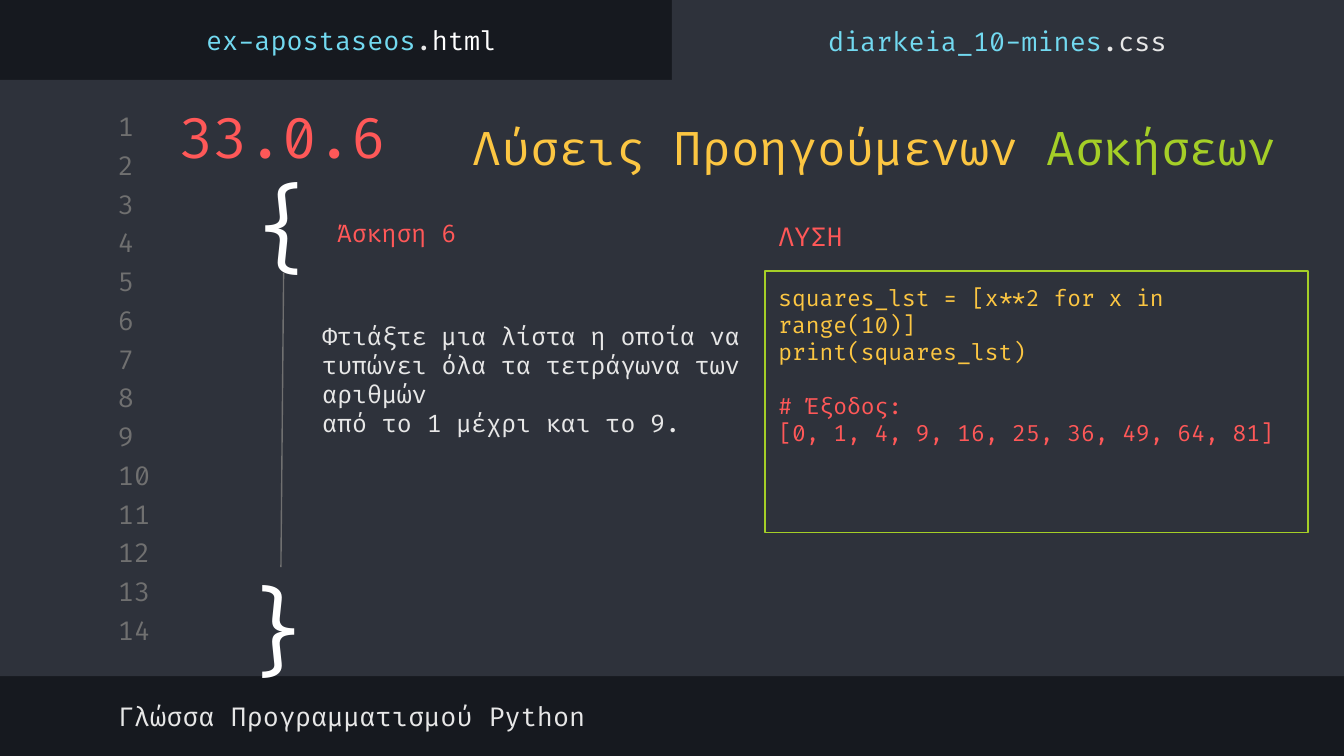
from lxml import etree
from pptx import Presentation
from pptx.dml.color import RGBColor
from pptx.enum.shapes import MSO_CONNECTOR, MSO_SHAPE
from pptx.enum.text import MSO_ANCHOR, MSO_AUTO_SIZE, PP_ALIGN
from pptx.oxml.ns import qn
from pptx.util import Cm, Pt

LEFT, CENTER = PP_ALIGN.LEFT, PP_ALIGN.CENTER
TOP, MIDDLE = MSO_ANCHOR.TOP, MSO_ANCHOR.MIDDLE
NO_AUTOFIT = MSO_AUTO_SIZE.NONE
RECTANGLE = MSO_SHAPE.RECTANGLE
STRAIGHT = MSO_CONNECTOR.STRAIGHT

INK = RGBColor(0x16, 0x19, 0x1F)
SLATE = RGBColor(0x2E, 0x32, 0x3B)
GRAY = RGBColor(0x70, 0x70, 0x70)
LIGHT = RGBColor(0xE7, 0xE7, 0xE7)
WHITE = RGBColor(0xFF, 0xFF, 0xFF)
CYAN = RGBColor(0x72, 0xD9, 0xF0)
RED = RGBColor(0xFF, 0x58, 0x58)
YELLOW = RGBColor(0xFC, 0xC6, 0x42)
GREEN = RGBColor(0xA5, 0xCF, 0x27)

# Line numbers are spread evenly between the first and the last top edge
ROWS, FIRST_TOP, LAST_TOP = 14, 2.08, 11.6


def add_text(paragraph, text, *, font, size, color):
    """Append one formatted run to a paragraph."""
    run = paragraph.add_run()
    run.text = text
    run.font.name = font
    run.font.size = Pt(size)
    run.font.color.rgb = color


class EditorSlide:
    """Code editor style applied to the current slide."""

    font = "Fira Code"
    inset = Pt(7.2)
    line_width = Pt(0.75)

    def __init__(self, slide):
        self.slide = slide
        fill = slide.background.fill
        fill.solid()
        fill.fore_color.rgb = INK

    def fill_frame(self, frame, lines, size, align=LEFT, anchor=MIDDLE):
        """Each line is a list of (text, color) or (text, color, size)."""
        frame.word_wrap = True
        frame.auto_size = NO_AUTOFIT
        frame.vertical_anchor = anchor
        frame.margin_left = frame.margin_right = self.inset
        frame.margin_top = frame.margin_bottom = self.inset
        for index, runs in enumerate(lines):
            paragraph = frame.add_paragraph() if index else frame.paragraphs[0]
            paragraph.alignment = align
            paragraph.space_before = Pt(0)
            for text, color, *own_size in runs:
                add_text(paragraph, text, font=self.font, color=color,
                         size=own_size[0] if own_size else size)

    def text(self, box, lines, size, **layout):
        label = self.slide.shapes.add_textbox(*map(Cm, box))
        self.fill_frame(label.text_frame, lines, size, **layout)

    def placeholder(self, holder, box, lines, size, **layout):
        holder.left, holder.top, holder.width, holder.height = map(Cm, box)
        self.fill_frame(holder.text_frame, lines, size, **layout)
        # Plain paragraphs: no bullet and no hanging indent
        for paragraph in holder.text_frame.paragraphs:
            properties = paragraph._p.get_or_add_pPr()
            properties.set("marL", "0")
            properties.set("indent", "0")
            etree.SubElement(properties, qn("a:buNone"))
        # Bring in front of the panels drawn so far
        self.slide.shapes._spTree.append(holder._element)

    def panel(self, box, fill=None, outline=None):
        panel = self.slide.shapes.add_shape(RECTANGLE, *map(Cm, box))
        panel.shadow.inherit = False
        if fill is None:
            panel.fill.background()
        else:
            panel.fill.solid()
            panel.fill.fore_color.rgb = fill
        if outline is None:
            panel.line.fill.background()
        else:
            panel.line.color.rgb = outline
            panel.line.width = self.line_width
        return panel

    def line(self, start, end, color):
        rule = self.slide.shapes.add_connector(STRAIGHT, *map(Cm, start + end))
        rule.line.color.rgb = color
        rule.line.width = self.line_width
        etree.SubElement(rule._element.spPr, qn("a:effectLst"))


def main():
    deck = Presentation()
    deck.slide_width, deck.slide_height = Cm(25.4), Cm(14.29)
    slide = deck.slides.add_slide(deck.slide_layouts[1])
    editor = EditorSlide(slide)

    # Editor window and active tab
    editor.panel((0, 1.51, 25.4, 11.27), fill=SLATE)
    editor.panel((12.7, 0, 12.7, 1.75), fill=SLATE)

    # Line numbers
    step = (LAST_TOP - FIRST_TOP) / (ROWS - 1)
    for row in range(ROWS):
        editor.text((1.98, FIRST_TOP + step * row, 1.19, 0.61),
                    [[(str(row + 1), GRAY)]], 14)

    # Footer and file tabs
    editor.text((1.98, 13.04, 13.51, 0.99),
                [[("Γλώσσα Προγραμματισμού Python", LIGHT)]], 14)
    editor.text((0.29, 0.27, 12.7, 0.99),
                [[("ex-apostaseos", CYAN), (".", LIGHT), ("html", WHITE)]],
                14, align=CENTER)
    editor.text((12.5, 0.28, 12.7, 0.99),
                [[("diarkeia_10-mines", CYAN), (".css", LIGHT)]],
                14, align=CENTER)

    # Closing brace and the rule between the braces
    editor.text((4.45, 10.79, 1.4, 2.18), [[("}", WHITE)]], 50)
    editor.line((5.36, 5.16), (5.31, 10.72), GRAY)

    # Exercise statement
    editor.placeholder(slide.placeholders[1], (5.84, 5.54, 9.22, 3.25), [
        [("Φτιάξτε μια λίστα η οποία να τυπώνει όλα τα τετράγωνα των αριθμών",
          LIGHT)],
        [("από το 1 μέχρι και το 9.", LIGHT)],
    ], 13)

    # Section number; the opening brace wraps below it
    editor.text((2.74, 2.09, 5.21, 3.07),
                [[("33.0.6", RED), ("{", WHITE, 50)]], 30, align=CENTER)

    # Title
    editor.placeholder(slide.shapes.title, (8.31, 2.03, 16.43, 1.5),
                       [[("Λύσεις Προηγούμενων ", YELLOW),
                         ("Ασκήσεων", GREEN)]], 25, align=CENTER)

    # Solution code and its output
    solution = editor.panel((14.46, 5.12, 10.26, 4.95), outline=GREEN)
    editor.fill_frame(solution.text_frame, [
        [("squares_lst = [x**2 for x in range(10)]", YELLOW)],
        [("print(squares_lst)", YELLOW)],
        [("# Έξοδος:", RED)],
        [("[0, 1, 4, 9, 16, 25, 36, 49, 64, 81]", RED)],
    ], 12, anchor=TOP)
    solution.text_frame.paragraphs[2].space_before = Pt(14.4)

    # Headings of the two columns
    editor.text((14.46, 3.91, 7.37, 0.81), [[("ΛΥΣΗ", RED)]], 14, anchor=TOP)
    editor.text((6.12, 3.9, 6.86, 0.99), [[("Άσκηση 6", RED)]], 13)

    deck.save("out.pptx")


if __name__ == "__main__":
    main()
